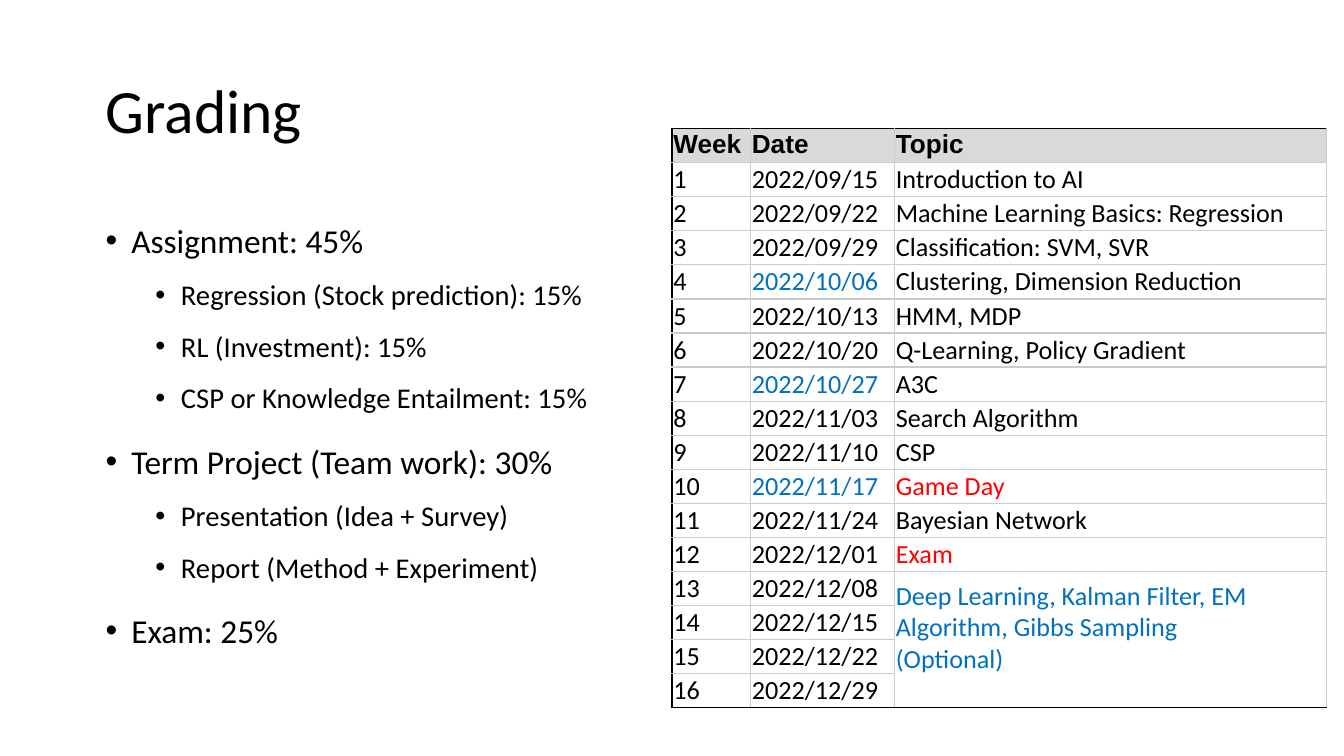
from lxml import etree
from pptx import Presentation, util as u
from pptx.dml.color import RGBColor
from pptx.enum import text
from pptx.oxml.ns import qn

W = 10
H = W * 9 / 16
BLACK, GREY, BLUE, RED, HEAD = "000000", "CCCCCC", "0070C0", "FF0000", "D9D9D9"

GRADES = [
    (0, "Assignment: 45%"),
    (1, "Regression (Stock prediction): 15%"),
    (1, "RL (Investment): 15%"),
    (1, "CSP or Knowledge Entailment: 15%"),
    (0, "Term Project (Team work): 30%"),
    (1, "Presentation (Idea + Survey)"),
    (1, "Report (Method + Experiment)"),
    (0, "Exam: 25%"),
]
# Per level: size, space before, left indent
LEVELS = [(17.9, 7.5, 0.19), (15.3, 3.8, 0.56)]

HEADINGS = ["Week", "Date", "Topic"]
DATES = ["09/15", "09/22", "09/29", "10/06", "10/13", "10/20", "10/27", "11/03",
         "11/10", "11/17", "11/24", "12/01", "12/08", "12/15", "12/22", "12/29"]
TOPICS = ["Introduction to AI", "Machine Learning Basics: Regression",
          "Classification: SVM, SVR", "Clustering, Dimension Reduction",
          "HMM, MDP", "Q-Learning, Policy Gradient", "A3C", "Search Algorithm",
          "CSP", "Game Day", "Bayesian Network", "Exam"]
OPTIONAL = ["Deep Learning, Kalman Filter, EM Algorithm, Gibbs Sampling", "(Optional)"]
BLUE_DATES = {"10/06", "10/27", "11/17"}
RED_TOPICS = {"Game Day", "Exam"}


def rgb(color):
    return RGBColor.from_string(color)


def share(x, y, w, h):
    """Box given as percentages of the slide."""
    return [u.Inches(v / 100) for v in (x * W, y * H, w * W, h * H)]


def write(p, words, size=14, font="Calibri", color=BLACK, bold=False):
    r = p.add_run()
    r.text = words
    r.font.size, r.font.name, r.font.bold = u.Pt(size), font, bold
    r.font.color.rgb = rgb(color)


def add_box(s, box, anchor):
    tf = s.shapes.add_textbox(*box).text_frame
    tf.word_wrap = True
    tf.vertical_anchor = anchor
    return tf


def add_title(s, box):
    p = add_box(s, box, text.MSO_ANCHOR.MIDDLE).paragraphs[0]
    p.line_spacing = 0.9
    write(p, "Grading", size=33)


def add_bullets(s, box):
    tf = add_box(s, box, text.MSO_ANCHOR.TOP)
    for i, (level, words) in enumerate(GRADES):
        size, before, indent = LEVELS[level]
        p = tf.add_paragraph() if i else tf.paragraphs[0]
        p.level, p.line_spacing = level, 1.3
        p.space_before = u.Pt(before if i else 0)
        pPr = p._p.get_or_add_pPr()
        pPr.set("marL", str(u.Inches(indent)))
        pPr.set("indent", str(u.Inches(-0.19)))
        etree.SubElement(pPr, qn("a:buFont"), typeface="Arial")
        etree.SubElement(pPr, qn("a:buChar"), char="•")
        write(p, words, size=size)


def set_borders(cell, **colors):
    """Thin grey lines, except on the sides given a colour (L, R, T, B)."""
    tcPr = cell._tc.get_or_add_tcPr()
    for i, side in enumerate("LRTB"):
        ln = etree.Element(qn("a:ln" + side), w=str(u.Pt(0.75)))
        fill = etree.SubElement(ln, qn("a:solidFill"))
        etree.SubElement(fill, qn("a:srgbClr"), val=colors.get(side, GREY))
        tcPr.insert(i, ln)


def fill_cell(cell, lines, **fmt):
    for i, line in enumerate(lines):
        p = cell.text_frame.add_paragraph() if i else cell.text_frame.paragraphs[0]
        write(p, line, **fmt)


def add_schedule(s, box):
    last, first_shared = len(DATES), len(TOPICS) + 1
    frame = s.shapes.add_table(last + 1, len(HEADINGS), *box)
    t = frame.table
    for col, part in zip(t.columns, (0.12, 0.22, 0.66)):
        col.width = int(box[2] * part)
    for row in t.rows:
        row.height = u.Inches(0.21)  # grows to fit the text
    frame.height = box[3]

    # Cell frames: black on the left, top and bottom edges
    for i in range(last + 1):
        for j in range(len(HEADINGS)):
            cell = t.cell(i, j)
            cell.margin_left = cell.margin_right = u.Inches(0.01)
            cell.margin_top = cell.margin_bottom = u.Inches(0.01)
            if i:
                cell.vertical_anchor = text.MSO_ANCHOR.BOTTOM
                cell.fill.background()
            else:
                cell.fill.solid()
                cell.fill.fore_color.rgb = rgb(HEAD)
            shared = j == 2 and i >= first_shared
            edges = {"L": j == 0, "T": i == 0, "B": i == last or shared}
            set_borders(cell, **{side: BLACK for side, on in edges.items() if on})

    # Heading row
    for j, words in enumerate(HEADINGS):
        fill_cell(t.cell(0, j), [words], font="Arial", bold=True)

    # Weeks, dates and topics
    for i, date in enumerate(DATES, 1):
        fill_cell(t.cell(i, 0), [str(i)])
        fill_cell(t.cell(i, 1), ["2022/" + date],
                  color=BLUE if date in BLUE_DATES else BLACK)
    for i, topic in enumerate(TOPICS, 1):
        fill_cell(t.cell(i, 2), [topic], color=RED if topic in RED_TOPICS else BLACK)

    # Optional topics share the remaining weeks
    rest = t.cell(first_shared, 2)
    rest.merge(t.cell(last, 2))
    rest.margin_bottom = u.Inches(0.24)
    fill_cell(rest, OPTIONAL, color=BLUE)


def main():
    prs = Presentation()
    prs.slide_width, prs.slide_height = u.Inches(W), u.Inches(H)
    s = prs.slides.add_slide(prs.slide_layouts[6])
    add_title(s, share(6.88, 5.33, 86.25, 19.33))
    add_bullets(s, share(6.88, 26.6, 44.5, 63.5))
    add_schedule(s, share(50, 17, 48.7, 75.9))
    prs.save("out.pptx")


if __name__ == "__main__":
    main()
